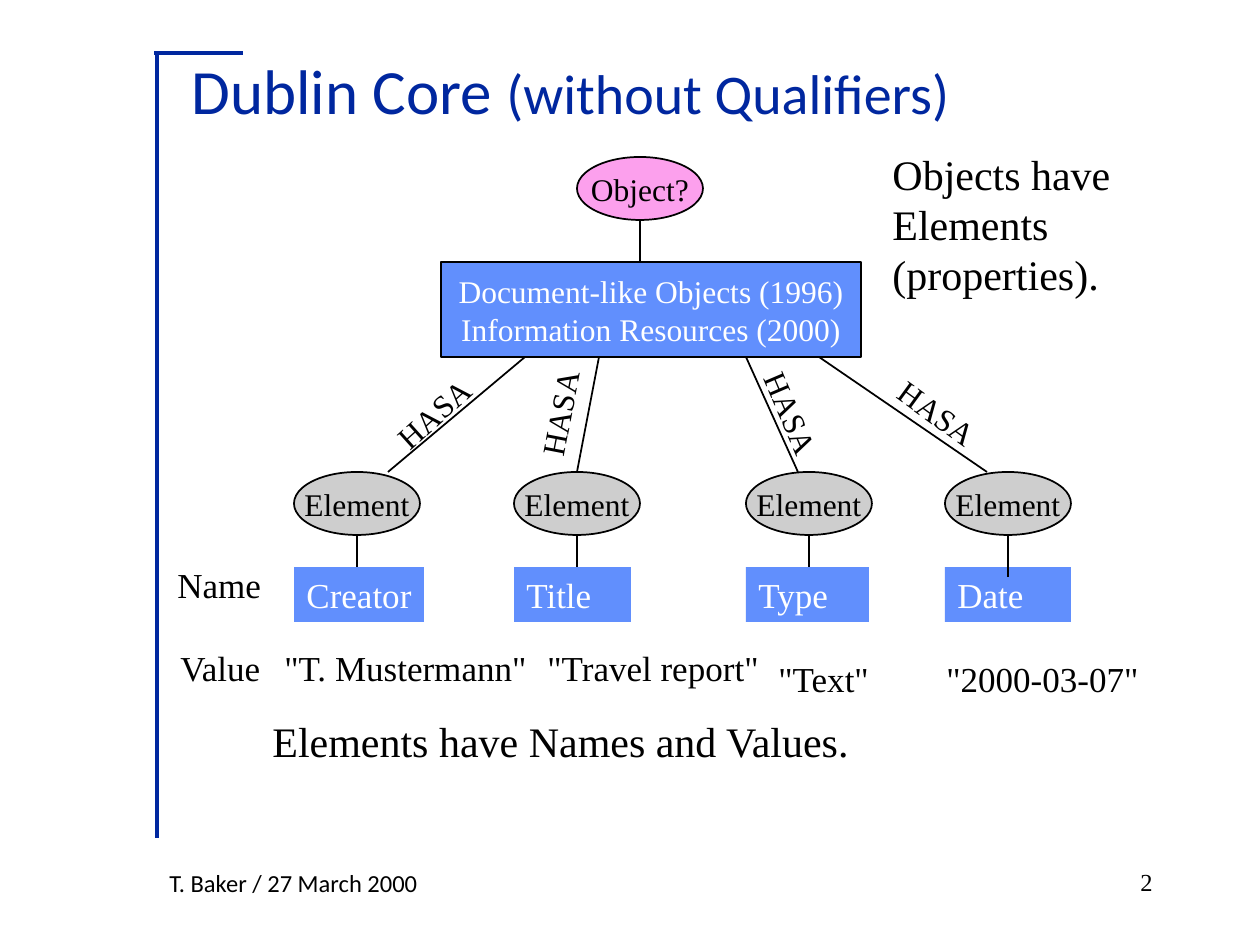
"""Build a slide that shows how Dublin Core objects, elements, names and values relate."""
from dataclasses import dataclass

from lxml.etree import SubElement
from pptx import Presentation
from pptx.dml.color import RGBColor
from pptx.enum.shapes import MSO_CONNECTOR, MSO_SHAPE
from pptx.enum.text import MSO_ANCHOR, MSO_AUTO_SIZE, PP_ALIGN
from pptx.oxml.ns import qn
from pptx.util import Emu, Pt


@dataclass(frozen=True)
class Theme:
    navy: str = "00279F"
    blue: str = "618FFD"
    pink: str = "FCA0ED"
    grey: str = "CECECE"
    black: str = "000000"
    white: str = "FFFFFF"
    heading_font: str = "Calibri"
    body_font: str = "Times New Roman"
    title: int = 36
    subtitle: int = 32
    statement: int = 24
    entry: int = 20
    node: int = 18
    footer: int = 14


THEME = Theme()
SLIDE_SIZE = (1260, 945)

TITLE = [("Dublin Core ", THEME.title), ("(without Qualifiers)", THEME.subtitle)]
TITLE_BOX = (179, 42, 1018, 94)
FRAME_LINES = [((243, 53), (154, 53)), ((157, 54), (157, 838))]

OBJECT_BOX = (577, 157, 126, 63)
RESOURCE_BOX = (441, 262, 420, 95)
RESOURCES = ["Document-like Objects (1996)", "Information Resources (2000)"]
ELEMENT_TOP, NAME_TOP, LABEL_TOP = 472, 567, 388
ELEMENT_SIZE = (126, 63)
LABEL_SIZE = (111, 50)
ENTRY_HEIGHT = 55

ELEMENTS = [
    {"left": 294, "name": "Creator", "name_width": 130, "stem_end": 567,
     "value": '"T. Mustermann"', "value_box": (272, 640, 270),
     "spoke": (388, 525), "label_left": 378, "angle": 318.1},
    {"left": 514, "name": "Title", "name_width": 117, "stem_end": 567,
     "value": '"Travel report"', "value_box": (535, 640, 240),
     "spoke": (577, 599), "label_left": 504, "angle": 280.9},
    {"left": 746, "name": "Type", "name_width": 123, "stem_end": 567,
     "value": '"Text"', "value_box": (766, 651, 120),
     "spoke": (798, 746), "label_left": 736, "angle": 66.9},
    {"left": 945, "name": "Date", "name_width": 126, "stem_end": 577,
     "value": '"2000-03-07"', "value_box": (934, 651, 224),
     "spoke": (987, 819), "label_left": 882, "angle": 36.1},
]

TEXTS = [
    (["Name"], (165, 557, 114, ENTRY_HEIGHT), THEME.entry),
    (["Value"], (168, 640, 110, ENTRY_HEIGHT), THEME.entry),
    (["Objects have", "Elements", "(properties)."], (880, 142, 243, 164), THEME.statement),
    (["Elements have Names and Values."], (260, 709, 608, 63), THEME.statement),
]
FOOTER = (["T. Baker / 27 March 2000"], (157, 862, 325, 42), THEME.footer)
PAGE_NUMBER = (["2"], (903, 861, 262, 63), THEME.footer)


def px(value):
    return Emu(round(value * 914400 / 126))


def set_attributes(target, values):
    for name, value in values.items():
        setattr(target, name, value)


def format_run(run, size, color, font):
    set_attributes(run.font, {"size": Pt(size), "name": font})
    run.font.color.rgb = RGBColor.from_string(color)


def write(shape, lines, size, color=THEME.black, font=THEME.body_font,
          paragraph_format=None, **frame_format):
    frame = shape.text_frame
    set_attributes(frame, {"word_wrap": False, "vertical_anchor": MSO_ANCHOR.TOP, **frame_format})
    for index, line in enumerate(lines):
        paragraph = frame.add_paragraph() if index else frame.paragraphs[0]
        set_attributes(paragraph, {"alignment": PP_ALIGN.LEFT, **(paragraph_format or {})})
        run = paragraph.add_run()
        run.text = line
        format_run(run, size, color, font)


def add_text(slide, lines, box, size, **options):
    shape = slide.shapes.add_textbox(*map(px, box))
    write(shape, lines, size, **options)
    return shape


def add_node(slide, kind, lines, box, fill, outlined=True, **options):
    shape = slide.shapes.add_shape(kind, *map(px, box))
    shape.shadow.inherit = False
    shape.fill.solid()
    shape.fill.fore_color.rgb = RGBColor.from_string(fill)
    if outlined:
        shape.line.color.rgb = RGBColor.from_string(THEME.black)
        shape.line.width = Pt(1)
    else:
        shape.line.fill.background()
    write(shape, lines, **options)


def add_line(slide, start, end, color=THEME.black, width=1):
    line = slide.shapes.add_connector(MSO_CONNECTOR.STRAIGHT, *map(px, (*start, *end)))
    line.line.color.rgb = RGBColor.from_string(color)
    line.line.width = Pt(width)
    SubElement(line._element.spPr, qn("a:effectLst"))


def add_title(slide):
    title = slide.shapes.title
    set_attributes(title, dict(zip(("left", "top", "width", "height"), map(px, TITLE_BOX))))
    set_attributes(title.text_frame, {"vertical_anchor": MSO_ANCHOR.MIDDLE, "word_wrap": True,
                                      "auto_size": MSO_AUTO_SIZE.NONE})
    paragraph = title.text_frame.paragraphs[0]
    paragraph.alignment = PP_ALIGN.LEFT
    for text, size in TITLE:
        run = paragraph.add_run()
        run.text = text
        format_run(run, size, THEME.navy, THEME.heading_font)


def add_element(slide, element, centred, growing):
    left = element["left"]
    width, height = ELEMENT_SIZE
    middle, bottom = left + width / 2, ELEMENT_TOP + height
    add_node(slide, MSO_SHAPE.OVAL, ["Element"], (left, ELEMENT_TOP, width, height),
             THEME.grey, size=THEME.node, **centred)
    add_node(slide, MSO_SHAPE.RECTANGLE, [element["name"]],
             (left, NAME_TOP, element["name_width"], ENTRY_HEIGHT), THEME.blue,
             outlined=False, size=THEME.entry, color=THEME.white, **growing)
    add_line(slide, (middle, bottom), (middle, element["stem_end"]))
    add_text(slide, [element["value"]], (*element["value_box"], ENTRY_HEIGHT),
             THEME.entry, **growing)
    spoke_start, spoke_end = element["spoke"]
    add_line(slide, (spoke_start, ELEMENT_TOP), (spoke_end, RESOURCE_BOX[1] + RESOURCE_BOX[3]))
    label = add_text(slide, ["HASA"], (element["label_left"], LABEL_TOP, *LABEL_SIZE),
                     THEME.node, **growing)
    label.rotation = element["angle"]


def main():
    presentation = Presentation()
    presentation.slide_width, presentation.slide_height = map(px, SLIDE_SIZE)
    slide = presentation.slides.add_slide(presentation.slide_layouts[5])
    centred = {"vertical_anchor": MSO_ANCHOR.MIDDLE,
               "paragraph_format": {"alignment": PP_ALIGN.CENTER}}
    growing = {"auto_size": MSO_AUTO_SIZE.SHAPE_TO_FIT_TEXT}

    for start, end in FRAME_LINES:
        add_line(slide, start, end, THEME.navy, 2)
    add_title(slide)
    add_node(slide, MSO_SHAPE.OVAL, ["Object?"], OBJECT_BOX, THEME.pink,
             size=THEME.node, **centred)
    add_node(slide, MSO_SHAPE.RECTANGLE, RESOURCES, RESOURCE_BOX, THEME.blue,
             size=THEME.node, color=THEME.white, **centred)
    left, top, width, height = OBJECT_BOX
    add_line(slide, (left + width / 2, top + height), (left + width / 2, RESOURCE_BOX[1]))
    for element in ELEMENTS:
        add_element(slide, element, centred, growing)
    for lines, box, size in TEXTS:
        add_text(slide, lines, box, size, **growing)
    add_text(slide, *FOOTER, font=THEME.heading_font, word_wrap=True,
             paragraph_format={"space_before": Pt(8.8)}, **growing)
    add_text(slide, *PAGE_NUMBER, word_wrap=True,
             paragraph_format={"alignment": PP_ALIGN.RIGHT})
    presentation.save("out.pptx")


if __name__ == "__main__":
    main()
